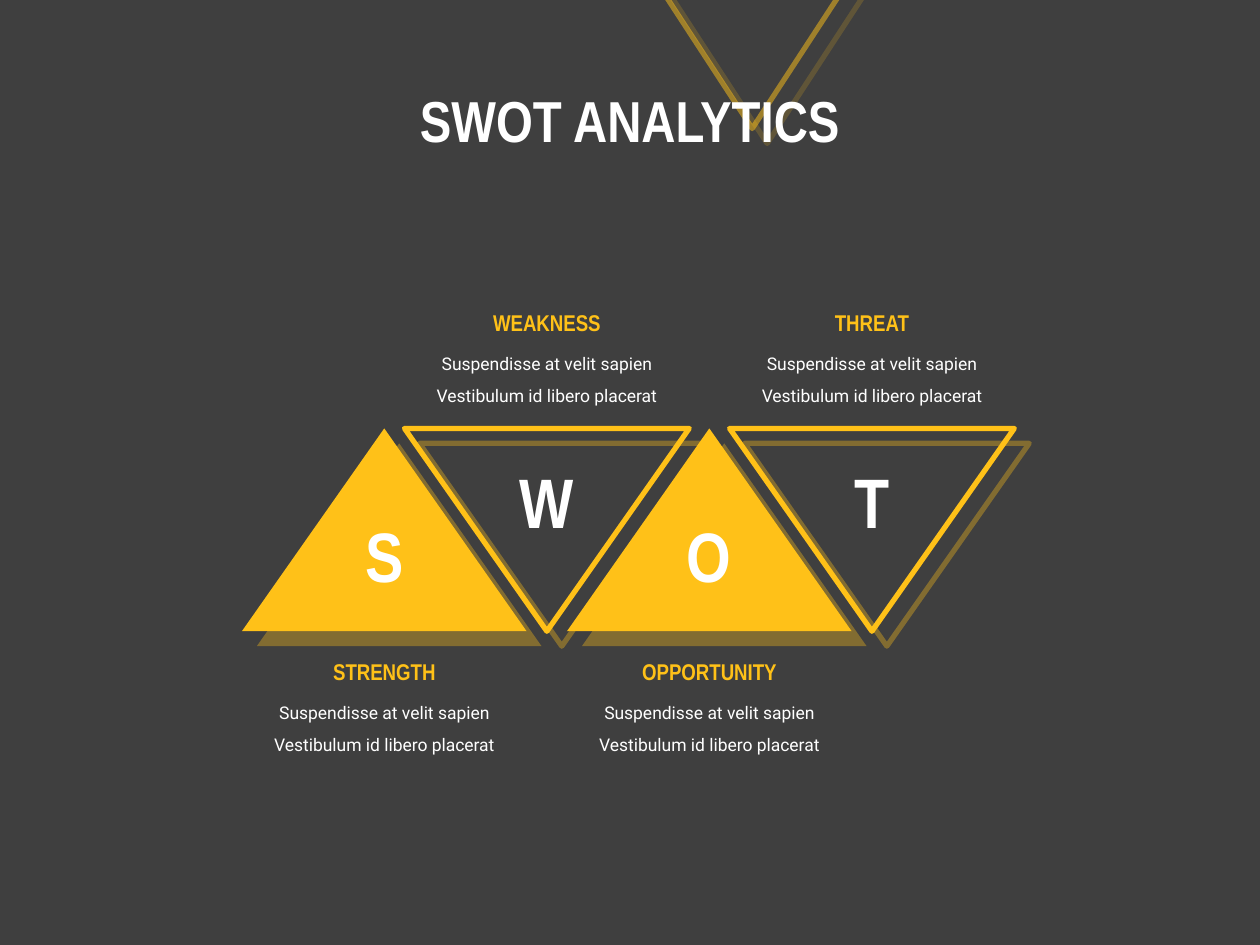
from pptx import Presentation
from pptx.dml.color import RGBColor
from pptx.enum.shapes import MSO_SHAPE
from pptx.enum.text import MSO_ANCHOR, PP_ALIGN
from pptx.oxml.ns import qn
from pptx.util import Inches, Pt
from lxml.etree import SubElement

THEME = {
    "dark": RGBColor.from_string("3F3F3F"),
    "gold": RGBColor.from_string("FFC118"),
    "white": RGBColor.from_string("FFFFFF"),
    "head_font": "Arial Narrow",
    "body_font": "Roboto",
    "title": 33,
    "letter": 40,
    "heading": 13,
    "body": 10,
}

prs = Presentation()
prs.slide_width, prs.slide_height = Inches(10), Inches(7.5)
s = prs.slides.add_slide(prs.slide_layouts[6])
s.background.fill.solid()
s.background.fill.fore_color.rgb = THEME["dark"]


def add_text(text, x, y, w, h, size, font=THEME["head_font"], color=THEME["white"],
             bold=True, spacing=1.0, anchor=MSO_ANCHOR.TOP):
    tf = s.shapes.add_textbox(Inches(x), Inches(y), Inches(w), Inches(h)).text_frame
    tf.word_wrap = True
    tf.vertical_anchor = anchor
    p = tf.paragraphs[0]
    p.alignment = PP_ALIGN.CENTER
    p.line_spacing = spacing
    r = p.add_run()
    r.text = text
    r.font.name = font
    r.font.size = Pt(size)
    r.font.bold = bold
    r.font.color.rgb = color


def add_triangle(x, y, w, h, solid=False, opacity=100):
    sp = s.shapes.add_shape(MSO_SHAPE.ISOSCELES_TRIANGLE,
                            Inches(x), Inches(y), Inches(w), Inches(h))
    sp.shadow.inherit = False
    if solid:
        sp.fill.solid()
        sp.fill.fore_color.rgb = THEME["gold"]
        sp.line.fill.background()
    else:
        sp.rotation = 180
        sp.fill.background()
        sp.line.color.rgb = THEME["gold"]
        sp.line.width = Pt(3)
    if opacity < 100:
        clr = sp.line._ln.find(".//" + qn("a:srgbClr"))
        SubElement(clr, qn("a:alpha"), val=str(opacity * 1000))
    effects = sp._element.spPr.find(qn("a:effectLst"))
    shadow = SubElement(effects, qn("a:outerShdw"), blurRad="0", dist=str(Pt(12.1)),
                        dir=str(45 * 60000), algn="tl", rotWithShape="0")
    clr = SubElement(shadow, qn("a:srgbClr"), val=str(THEME["gold"]))
    SubElement(clr, qn("a:alpha"), val="35000")


add_triangle(5.2, -0.16, 1.54, 1.18, opacity=50)
add_text("SWOT ANALYTICS", 2.45, 0.49, 5.1, 0.98, THEME["title"],
         spacing=0.9, anchor=MSO_ANCHOR.MIDDLE)

items = ["STRENGTH", "WEAKNESS", "OPPORTUNITY", "THREAT"]
detail = "Suspendisse at velit sapien Vestibulum id libero placerat"
first_center, step = 3.05, 1.29
tri_w, letter_w, heading_w, body_w = 2.26, 0.76, 1.84, 2.23

for i, heading in enumerate(items):
    cx = first_center + i * step
    upright = i % 2 == 0
    letter_y, heading_y = (4.02, 5.17) if upright else (3.59, 2.4)
    add_triangle(cx - tri_w / 2, 3.4, tri_w, 1.61, solid=upright)
    add_text(heading[0], cx - letter_w / 2, letter_y, letter_w, 0.77, THEME["letter"])
    add_text(detail, cx - body_w / 2, heading_y + 0.27, body_w, 0.6, THEME["body"],
             font=THEME["body_font"], bold=False, spacing=1.5)
    add_text(heading, cx - heading_w / 2, heading_y, heading_w, 0.32, THEME["heading"],
             color=THEME["gold"])

prs.save("out.pptx")
